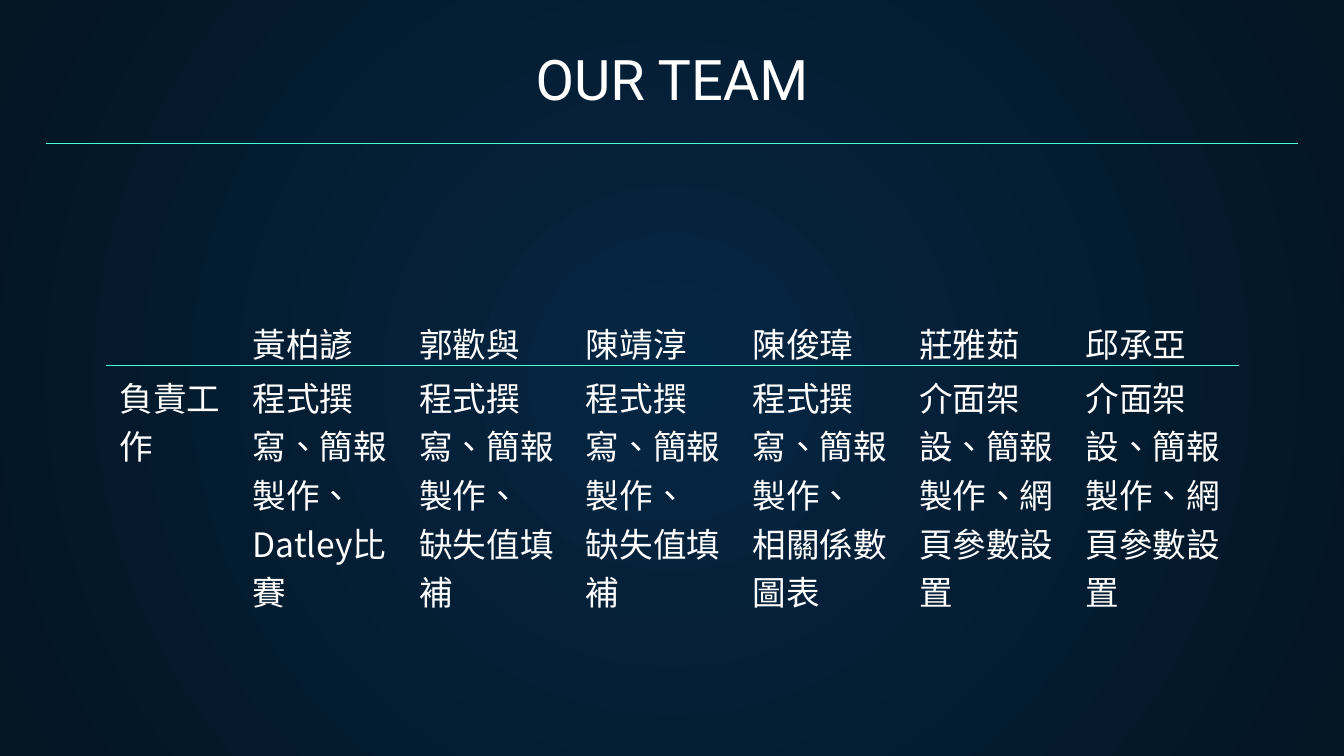
from dataclasses import dataclass

from lxml import etree
from pptx import Presentation
from pptx.dml.color import RGBColor
from pptx.enum.lang import MSO_LANGUAGE_ID
from pptx.enum.shapes import MSO_CONNECTOR
from pptx.enum.text import MSO_ANCHOR, PP_ALIGN
from pptx.oxml.ns import qn
from pptx.util import Inches, Pt

STRAIGHT = MSO_CONNECTOR.STRAIGHT
BOTTOM = MSO_ANCHOR.BOTTOM
CENTER = PP_ALIGN.CENTER
LEFT = PP_ALIGN.LEFT
ENGLISH = MSO_LANGUAGE_ID.ENGLISH_US
CHINESE = MSO_LANGUAGE_ID.TRADITIONAL_CHINESE
PLAIN_TABLE_STYLE = "{2D5ABB26-0587-4C30-8999-92F81FD0307C}"


@dataclass(frozen=True)
class Theme:
    glow: str = "052643"
    edge: str = "041523"
    accent: str = "48FFD5"
    text: str = "FFFFFF"
    title_font: str = "Roboto"
    body_font: str = "Noto Sans CJK SC"
    title_size: int = 30
    body_size: int = 18
    rule_width: float = 0.75
    border_width: float = 1


THEME = Theme()

CODING = "程式撰寫、簡報製作、"
INTERFACE = "介面架設、簡報製作、網頁參數設置"
TEAM = [
    ("黃柏諺", [CODING, "Datley比賽"]),
    ("郭歡與", [CODING, "缺失值填補"]),
    ("陳靖淳", [CODING, "缺失值填補"]),
    ("陳俊瑋", [CODING, "相關係數圖表"]),
    ("莊雅茹", [INTERFACE]),
    ("邱承亞", [INTERFACE]),
]


def paint_background(page):
    fill = page.background.fill
    fill.gradient()
    for stop, color in zip(fill.gradient_stops, (THEME.glow, THEME.edge)):
        stop.color.rgb = RGBColor.from_string(color)
    gradient = page.background._cSld.find(".//" + qn("a:gradFill"))
    gradient.remove(gradient.find(qn("a:lin")))
    circle = etree.Element(qn("a:path"), path="circle")
    etree.SubElement(circle, qn("a:fillToRect"), l="50000", t="50000", r="50000", b="50000")
    gradient.find(qn("a:gsLst")).addnext(circle)


def write_paragraphs(frame, lines, font, size, align, language):
    frame.word_wrap = True
    for index, line in enumerate(lines):
        para = frame.add_paragraph() if index else frame.paragraphs[0]
        para.text = line
        para.alignment = align
        para.font.name = font
        para.font.size = Pt(size)
        para.font.color.rgb = RGBColor.from_string(THEME.text)
        latin = para.font._element.find(qn("a:latin"))
        latin.addnext(etree.Element(qn("a:ea"), typeface=font))
        para._p.get_or_add_pPr().set("hangingPunct", "0")
        for span in para.runs:
            span.font.language_id = language


def add_title(page, text):
    box = page.shapes.add_textbox(Inches(0.34), Inches(0.27), Inches(9.32), Inches(0.66))
    frame = box.text_frame
    frame.vertical_anchor = BOTTOM
    frame.margin_top = frame.margin_bottom = Inches(0.1)
    write_paragraphs(frame, [text], THEME.title_font, THEME.title_size, CENTER, ENGLISH)


def add_rule(page):
    y = Inches(1.07)
    rule = page.shapes.add_connector(STRAIGHT, Inches(0.34), y, Inches(9.66), y)
    rule.line.color.rgb = RGBColor.from_string(THEME.accent)
    rule.line.width = Pt(THEME.rule_width)
    etree.SubElement(rule._element.spPr, qn("a:effectLst"))


def add_border(cell, side):
    line = etree.Element(qn("a:" + side), w=str(int(Pt(THEME.border_width))))
    solid = etree.SubElement(line, qn("a:solidFill"))
    etree.SubElement(solid, qn("a:srgbClr"), val=THEME.accent)
    etree.SubElement(line, qn("a:prstDash"), val="solid")
    cell._tc.get_or_add_tcPr().insert(0, line)


def add_team_table(page):
    rows = [
        [[""], *([name] for name, tasks in TEAM)],
        [["負責工作"], *(tasks for name, tasks in TEAM)],
    ]
    widths = [0.99] + [1.24] * len(TEAM)
    heights = [0.29, 1.36]
    frame = page.shapes.add_table(
        len(rows), len(widths), Inches(0.79), Inches(2.32), Inches(8.42), Inches(2)
    )
    table = frame.table
    table._tbl.tblPr.find(qn("a:tableStyleId")).text = PLAIN_TABLE_STYLE
    table.first_row = table.horz_banding = False
    for column, width in zip(table.columns, widths):
        column.width = Inches(width)
    for row, height, contents, side in zip(table.rows, heights, rows, ("lnB", "lnT")):
        row.height = Inches(height)
        for cell, lines in zip(row.cells, contents):
            cell.fill.background()
            write_paragraphs(
                cell.text_frame, lines, THEME.body_font, THEME.body_size, LEFT, CHINESE
            )
            add_border(cell, side)


def main():
    deck = Presentation()
    deck.slide_width = Inches(10)
    deck.slide_height = deck.slide_width * 9 // 16
    page = deck.slides.add_slide(deck.slide_layouts[6])
    paint_background(page)
    add_title(page, "OUR TEAM")
    add_rule(page)
    add_team_table(page)
    deck.save("out.pptx")


if __name__ == "__main__":
    main()
